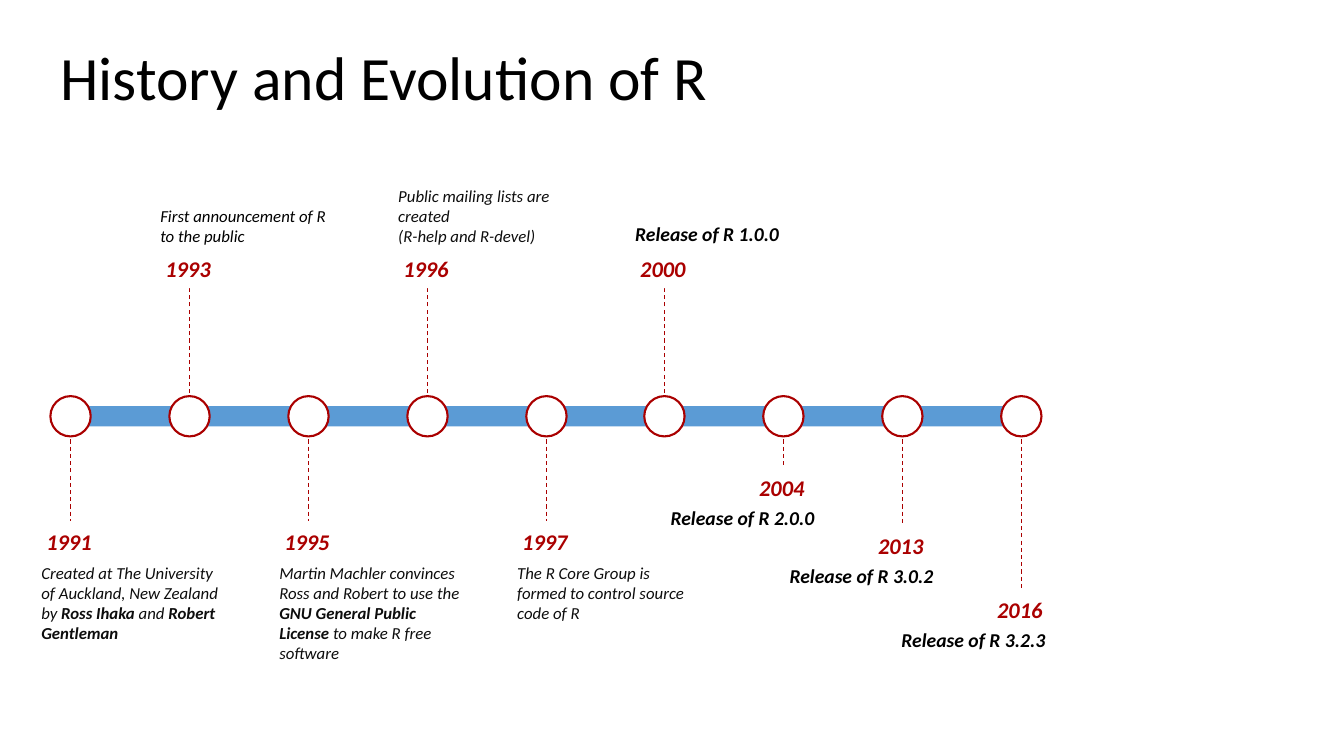
from dataclasses import dataclass

from pptx import Presentation
from pptx.dml.color import RGBColor
from pptx.enum.dml import MSO_LINE
from pptx.enum.shapes import MSO_CONNECTOR, MSO_SHAPE
from pptx.enum.text import MSO_ANCHOR, PP_ALIGN
from pptx.oxml.ns import qn
from pptx.util import Emu, Pt
from lxml.etree import SubElement

PX = 9144  # EMU per px, 100 px to the inch
COLORS = {"red": "AA0000", "bar": "5B9BD5", "white": "FFFFFF",
          "black": "000000", "ink": "0D0D0D"}
AXIS_Y, RADIUS = 413, 20
FIRST_X, LAST_X = 70, 1013
CAPTION_W = 180


@dataclass
class Event:
    year: str
    caption: str  # bold parts stand between ** marks, paragraphs between line feeds
    year_top: int
    stem_end: int
    color: str = "ink"
    release: bool = False

    @property
    def above(self):
        return self.stem_end < AXIS_Y


EVENTS = [
    Event("1991", "Created at The University of Auckland, New Zealand by "
          "**Ross Ihaka** and **Robert Gentleman**", 517, 543),
    Event("1993", "First announcement of R to the public", 246, 283, "black"),
    Event("1995", "Martin Machler convinces Ross and Robert to use the "
          "**GNU General Public License** to make R free software", 517, 543),
    Event("1996", "Public mailing lists are created\n(R-help and R-devel)", 246, 283),
    Event("1997", "The R Core Group is formed to control source code of R", 517, 543),
    Event("2000", "**Release of R 1.0.0**", 246, 283, "black", True),
    Event("2004", "**Release of R 2.0.0**", 464, 493, "black", True),
    Event("2013", "**Release of R 3.0.2**", 521, 543, "black", True),
    Event("2016", "**Release of R 3.2.3**", 585, 593, "black", True),
]


class TimelineSlide:
    font = "Calibri"

    def __init__(self, slide):
        self.shapes = slide.shapes

    def color(self, name):
        return RGBColor.from_string(COLORS[name])

    def box(self, *lengths):
        return [Emu(length * PX) for length in lengths]

    def shape(self, kind, left, top, width, height, fill, outline=None):
        shape = self.shapes.add_shape(kind, *self.box(left, top, width, height))
        shape.shadow.inherit = False
        shape.fill.solid()
        shape.fill.fore_color.rgb = self.color(fill)
        if outline:
            shape.line.color.rgb = self.color(outline)
            shape.line.width = Pt(1.5)
        else:
            shape.line.fill.background()
        return shape

    def stem(self, x, start, end):
        stem = self.shapes.add_connector(MSO_CONNECTOR.STRAIGHT, *self.box(x, start, x, end))
        SubElement(stem._element.spPr, qn("a:effectLst"))
        stem.line.color.rgb = self.color("red")
        stem.line.width = Pt(0.75)
        stem.line.dash_style = MSO_LINE.DASH

    def fill_text(self, frame, text, size, color, inset=0, wrap=True, italic=True,
                  anchor=MSO_ANCHOR.TOP, align=PP_ALIGN.LEFT):
        """Fill a text frame; parts between ** marks turn bold."""
        frame.word_wrap = wrap
        frame.vertical_anchor = anchor
        frame.margin_left = frame.margin_right = Emu(inset * PX)
        frame.margin_top = frame.margin_bottom = Emu(min(inset, 5) * PX)
        for index, line in enumerate(text.split("\n")):
            paragraph = frame.add_paragraph() if index else frame.paragraphs[0]
            paragraph.alignment = align
            font = paragraph.font
            font.name, font.size, font.italic = self.font, Pt(size), italic
            font.color.rgb = self.color(color)
            for position, part in enumerate(line.split("**")):
                if part:
                    run = paragraph.add_run()
                    run.text = part
                    run.font.bold = position % 2 == 1

    def text(self, left, top, width, height, text, size, color, **options):
        frame = self.shapes.add_textbox(*self.box(left, top, width, height)).text_frame
        self.fill_text(frame, text, size, color, **options)
        return frame

    def title(self, text):
        frame = self.text(50, 42, 983, 92, text, 44, "black", inset=10, italic=False)
        frame.paragraphs[0].line_spacing = 0.9

    def bar(self):
        bar = self.shape(MSO_SHAPE.ROUNDED_RECTANGLE, 61, AXIS_Y - 10, 960, 20, "bar")
        bar.adjustments[0] = 0.21

    def marker(self, x):
        self.shape(MSO_SHAPE.OVAL, x - RADIUS, AXIS_Y - RADIUS,
                   2 * RADIUS, 2 * RADIUS, "white", "red")

    def year(self, x, event):
        label = self.shape(MSO_SHAPE.RECTANGLE, x - 29, event.year_top, 60, 40, "white")
        self.fill_text(label.text_frame, f"**{event.year}**", 16, "red", inset=5, wrap=False,
                       anchor=MSO_ANCHOR.MIDDLE)

    def caption(self, x, event):
        left, top, height = x - 29, event.year_top + 41, 100
        anchor, align = MSO_ANCHOR.TOP, PP_ALIGN.LEFT
        if event.above:
            top, height, anchor = event.year_top - 82, 80, MSO_ANCHOR.BOTTOM
        elif event.release:
            # the last caption keeps closer to its year
            left = x + (24 if x == LAST_X else 31) - CAPTION_W
            top, height = event.year_top + 35, 30
            anchor, align = MSO_ANCHOR.MIDDLE, PP_ALIGN.RIGHT
        self.text(left, top, CAPTION_W, height, event.caption, 14 if event.release else 12,
                  event.color, anchor=anchor, align=align)


def main():
    presentation = Presentation()
    presentation.slide_width = Emu(1333 * PX)
    presentation.slide_height = Emu(750 * PX)
    timeline = TimelineSlide(presentation.slides.add_slide(presentation.slide_layouts[6]))

    step = (LAST_X - FIRST_X) / (len(EVENTS) - 1)
    stops = [(round(FIRST_X + i * step), event) for i, event in enumerate(EVENTS)]
    for x, event in stops:
        timeline.stem(x, AXIS_Y + (RADIUS if event.above else -RADIUS), event.stem_end)
    timeline.bar()
    timeline.title("History and Evolution of R")
    for x, _ in stops:
        timeline.marker(x)
    for x, event in stops:
        timeline.year(x, event)
    for x, event in stops:
        timeline.caption(x, event)
    presentation.save("out.pptx")


if __name__ == "__main__":
    main()
